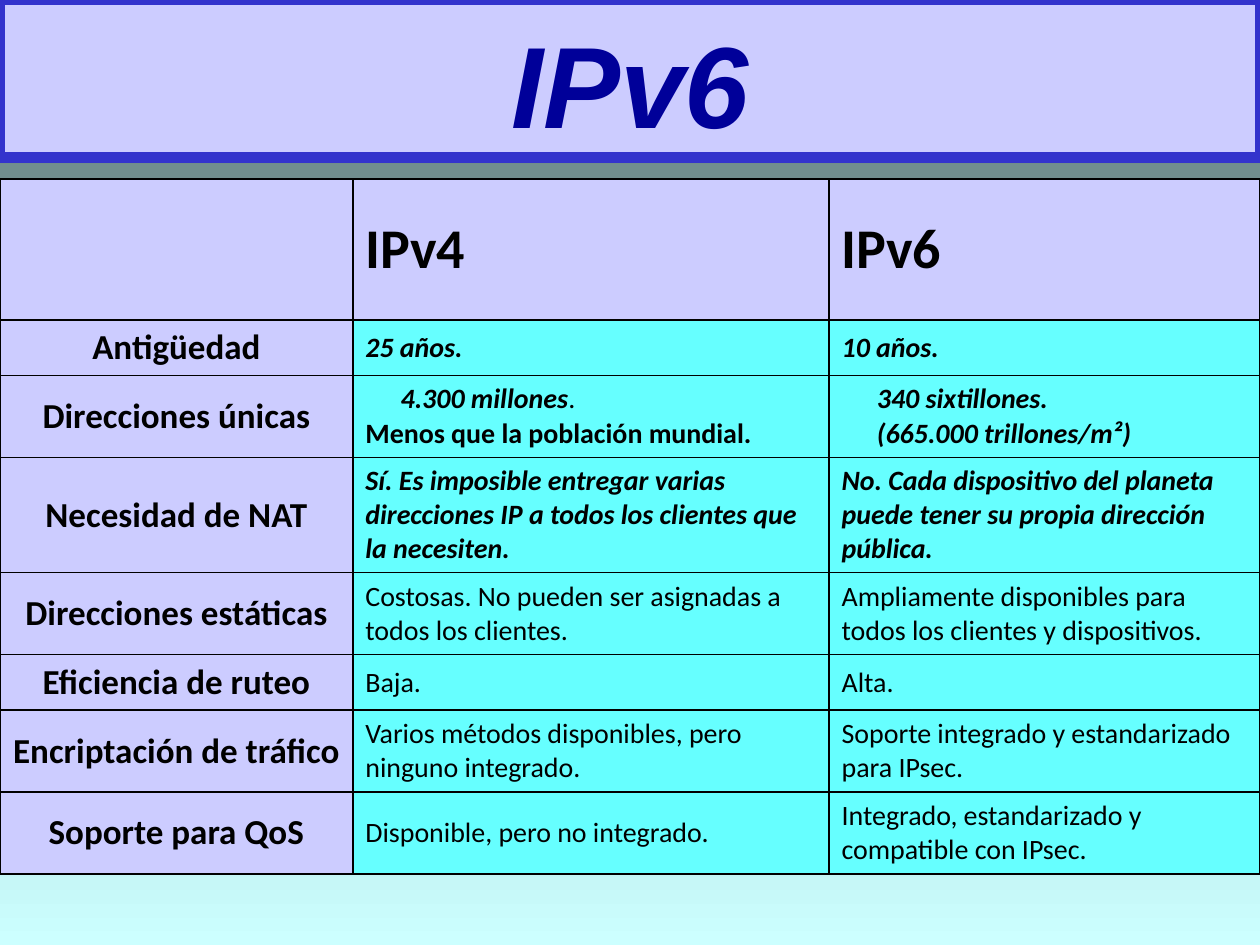
"""Build a slide with a table that compares IPv4 and IPv6."""
import pptx
import pptx.dml.color
import pptx.enum.shapes
import pptx.enum.text
import pptx.util
from lxml import etree
from pptx.oxml.ns import qn

Inches = pptx.util.Inches
Pt = pptx.util.Pt
RGBColor = pptx.dml.color.RGBColor
ALIGN = pptx.enum.text.PP_ALIGN
MIDDLE = pptx.enum.text.MSO_ANCHOR.MIDDLE

LAVENDER = RGBColor(0xCC, 0xCC, 0xFF)
CYAN = RGBColor(0x66, 0xFF, 0xFF)
BLUE = RGBColor(0x33, 0x33, 0xCC)
NAVY = RGBColor(0x00, 0x00, 0x99)
BLACK = RGBColor(0x00, 0x00, 0x00)
BACKDROP = [RGBColor(0x5E, 0x76, 0x76), RGBColor(0xCC, 0xFF, 0xFF)]

TITLE = "IPv6"
HEADERS = ["", "IPv4", "IPv6"]
PLAIN, BOLD, STRONG = {}, {"bold": True}, {"bold": True, "italic": True}
INDENTED = {"bold": True, "italic": True, "indent": 0.28}

# Each value cell is a list of paragraphs; each paragraph is a style and its text.
ROWS = [
    ("Antigüedad", [(STRONG, "25 años.")], [(STRONG, "10 años.")]),
    ("Direcciones únicas",
     [(INDENTED, "4.300 millones", "."), (BOLD, "Menos que la población mundial.")],
     [(INDENTED, "340 sixtillones."), (INDENTED, "(665.000 trillones/m²)")]),
    ("Necesidad de NAT",
     [(STRONG, "Sí. Es imposible entregar varias direcciones IP a todos los clientes que la necesiten.")],
     [(STRONG, "No. Cada dispositivo del planeta puede tener su propia dirección pública.")]),
    ("Direcciones estáticas",
     [(PLAIN, "Costosas. No pueden ser asignadas a todos los clientes.")],
     [(PLAIN, "Ampliamente disponibles para todos los clientes y dispositivos.")]),
    ("Eficiencia de ruteo", [(PLAIN, "Baja.")], [(PLAIN, "Alta.")]),
    ("Encriptación de tráfico",
     [(PLAIN, "Varios métodos disponibles, pero ninguno integrado.")],
     [(PLAIN, "Soporte integrado y estandarizado para IPsec.")]),
    ("Soporte para QoS",
     [(PLAIN, "Disponible, pero no integrado.")],
     [(PLAIN, "Integrado, estandarizado y compatible con IPsec.")]),
]
COLUMN_WIDTHS = [2.8, 3.78, 3.42]
ROW_HEIGHTS = [1.12, 0.44, 0.65, 0.91, 0.65, 0.44, 0.65, 0.65]
TABLE_TOP = 1.42


def write(para, text, size=16, font="Calibri", color=BLACK, bold=False,
          italic=False, align=ALIGN.LEFT, indent=0):
    """Add a formatted span to a paragraph."""
    para.alignment = align
    if indent:
        para._p.get_or_add_pPr().set("indent", str(Inches(indent)))
    span = para.add_run()
    span.text = text
    span.font.size = Pt(size)
    span.font.name = font
    span.font.color.rgb = color
    span.font.bold = bold
    span.font.italic = italic


def style_cell(cell, color):
    """Give a cell its borders, fill and vertical anchor."""
    properties = cell._tc.get_or_add_tcPr()
    for side in ("a:lnL", "a:lnR", "a:lnT", "a:lnB"):
        border = etree.SubElement(properties, qn(side), w=str(Pt(1)))
        fill = etree.SubElement(border, qn("a:solidFill"))
        etree.SubElement(fill, qn("a:srgbClr"), val=str(BLACK))
    cell.fill.solid()
    cell.fill.fore_color.rgb = color
    cell.vertical_anchor = MIDDLE


def add_title(page):
    """Draw the title band."""
    box = page.shapes.add_shape(pptx.enum.shapes.MSO_SHAPE.RECTANGLE,
                                0, 0, Inches(10), Inches(1.25))
    box.shadow.inherit = False
    box.fill.solid()
    box.fill.fore_color.rgb = LAVENDER
    box.line.color.rgb = BLUE
    box.line.width = Pt(6)
    frame = box.text_frame
    frame.vertical_anchor = MIDDLE
    frame.margin_top, frame.margin_bottom = Inches(0.1), Inches(0.04)
    write(frame.paragraphs[0], TITLE, size=66, font="Arial", color=NAVY,
          bold=True, italic=True, align=ALIGN.CENTER)


def add_comparison(page):
    """Draw the comparison table."""
    table = page.shapes.add_table(
        len(ROW_HEIGHTS), len(COLUMN_WIDTHS), 0, Inches(TABLE_TOP),
        Inches(sum(COLUMN_WIDTHS)), Inches(sum(ROW_HEIGHTS))).table
    table.first_row = table.horz_banding = False
    for column, width in zip(table.columns, COLUMN_WIDTHS):
        column.width = Inches(width)
    for row, height in zip(table.rows, ROW_HEIGHTS):
        row.height = Inches(height)

    for index, header in enumerate(HEADERS):
        cell = table.cell(0, index)
        style_cell(cell, LAVENDER)
        if header:
            write(cell.text_frame.paragraphs[0], header, size=32, bold=True)

    for number, (label, *values) in enumerate(ROWS, 1):
        cell = table.cell(number, 0)
        style_cell(cell, LAVENDER)
        write(cell.text_frame.paragraphs[0], label, size=20, bold=True, align=ALIGN.CENTER)
        for index, value in enumerate(values, 1):
            cell = table.cell(number, index)
            style_cell(cell, CYAN)
            frame = cell.text_frame
            for position, (style, text, *ending) in enumerate(value):
                para = frame.add_paragraph() if position else frame.paragraphs[0]
                write(para, text, **style)
                for tail in ending:
                    write(para, tail)


def main():
    """Create the deck and save it."""
    deck = pptx.Presentation()
    deck.slide_width, deck.slide_height = Inches(10), Inches(7.5)
    page = deck.slides.add_slide(deck.slide_layouts[6])
    backdrop = page.background.fill
    backdrop.gradient()
    backdrop.gradient_angle = 270
    for stop, color, place in zip(backdrop.gradient_stops, BACKDROP, (0, 1)):
        stop.color.rgb = color
        stop.position = place
    add_title(page)
    add_comparison(page)
    deck.save("out.pptx")


if __name__ == "__main__":
    main()
